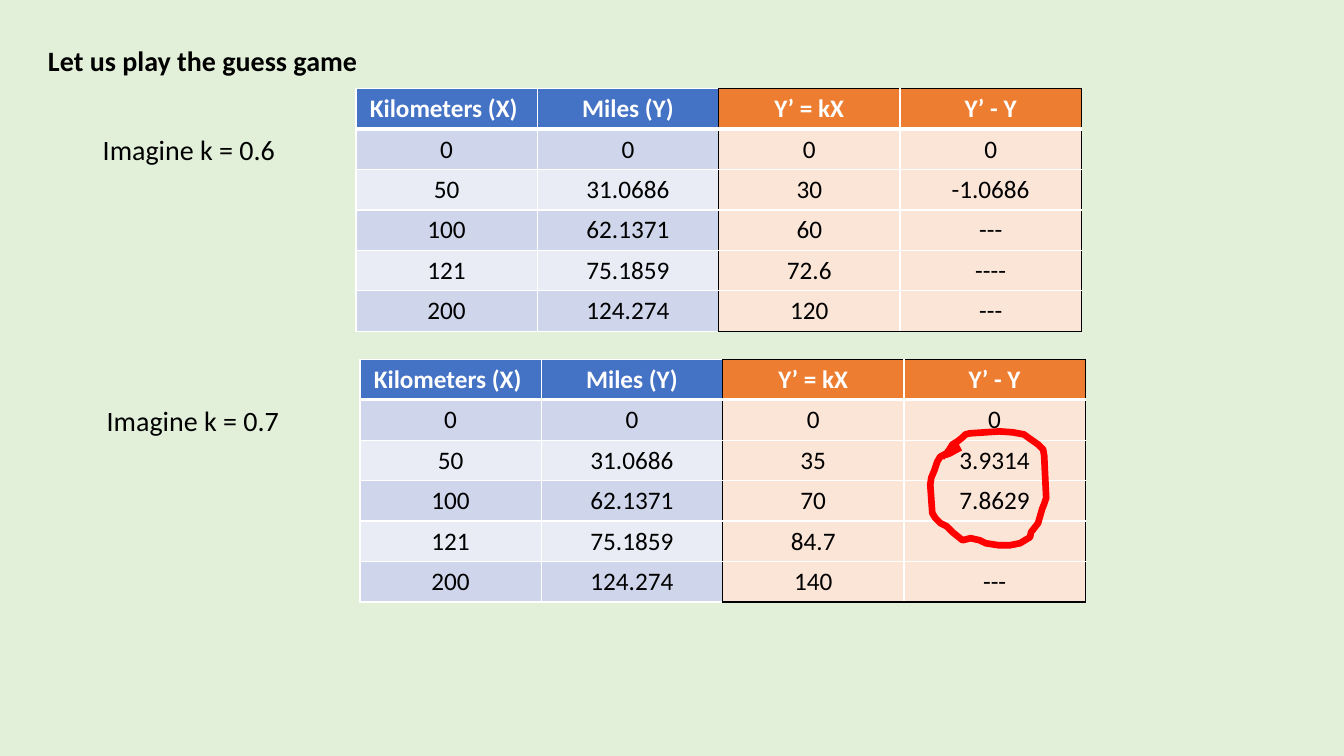
from lxml.etree import SubElement
from pptx import Presentation
from pptx.dml.color import RGBColor
from pptx.enum.text import MSO_AUTO_SIZE, PP_ALIGN
from pptx.oxml.ns import qn
from pptx.util import Cm, Pt

COLORS = {
    "background": "E2F0D9",
    "black": "000000",
    "white": "FFFFFF",
    "data_header": "4472C4",
    "guess_header": "ED7D31",
    "band_dark": "CFD5EA",
    "band_light": "E9EBF5",
    "guess_body": "FBE5D6",
    "marker": "FF0000",
}
CAPTION = {"name": "Calibri", "size": Pt(20), "bold": False}
HEADING = {**CAPTION, "bold": True}
CELL = {**CAPTION, "size": Pt(18)}
CELL_HEADER = {**CELL, "bold": True}

HEADERS = ["Kilometers (X) ", "Miles (Y)", "Y’ = kX", "Y’ - Y"]
KILOMETERS = ["0", "50", "100", "121", "200"]
MILES = ["0", "31.0686", "62.1371", "75.1859", "124.274"]
GUESSES = [
    {"k": "0.6", "left": 8.97, "top": 2.23,
     "predicted": ["0", "30", "60", "72.6", "120"],
     "error": ["0", "-1.0686", "---", "----", "---"]},
    {"k": "0.7", "left": 9.07, "top": 9.05,
     "predicted": ["0", "35", "70", "84.7", "140"],
     "error": ["0", "3.9314", "7.8629", "---", "---"]},
]
COLUMN_WIDTH, ROW_HEIGHT = Cm(4.57), Cm(1.02)

# Hand-drawn loop around the errors, in hundredths of an inch
LOOP = [
    (953, 444), (942, 450), (933, 453), (930, 458), (927, 467), (924, 474),
    (923, 481), (924, 495), (925, 509), (928, 514), (933, 519), (939, 522),
    (945, 528), (950, 532), (955, 536), (963, 534), (972, 536), (978, 539),
    (991, 541), (1002, 541), (1012, 539), (1022, 533), (1023, 528),
    (1030, 519), (1034, 505), (1036, 500), (1038, 494), (1037, 473),
    (1036, 452), (1035, 446), (1030, 441), (1020, 434), (1016, 431),
    (1005, 429), (992, 428), (977, 429), (962, 430), (958, 431), (955, 434),
    (950, 438), (945, 441), (942, 446), (939, 450), (935, 452), (934, 455),
]


def write(text_frame, text, font_format, color):
    paragraph = text_frame.paragraphs[0]
    run = paragraph.add_run()
    run.text = text
    for attribute, value in font_format.items():
        setattr(run.font, attribute, value)
    run.font.color.rgb = RGBColor.from_string(COLORS[color])
    return paragraph


def set_border(cell, tag, color, width):
    line = SubElement(cell._tc.get_or_add_tcPr(), qn(f"a:{tag}"), w=str(Pt(width)))
    fill = SubElement(line, qn("a:solidFill"))
    SubElement(fill, qn("a:srgbClr"), val=COLORS[color])


presentation = Presentation()
presentation.slide_width, presentation.slide_height = Cm(33.87), Cm(19.05)
slide = presentation.slides.add_slide(presentation.slide_layouts[6])
slide.background.fill.solid()
slide.background.fill.fore_color.rgb = RGBColor.from_string(COLORS["background"])

captions = [("Let us play the guess game", 0.96, 0.96, 16.38, HEADING)]
for guess in GUESSES:
    captions.append((f"Imagine k = {guess['k']}", guess["left"] - 6.63,
                     guess["top"] + 0.99, 8.03, CAPTION))
for text, left, top, width, font_format in captions:
    caption = slide.shapes.add_textbox(Cm(left), Cm(top), Cm(width), Cm(1.11))
    caption.text_frame.word_wrap = True
    caption.text_frame.auto_size = MSO_AUTO_SIZE.SHAPE_TO_FIT_TEXT
    write(caption.text_frame, text, font_format, "black")

for guess in GUESSES:
    rows = [HEADERS, *zip(KILOMETERS, MILES, guess["predicted"], guess["error"])]
    last_row, last_column = len(rows) - 1, len(HEADERS) - 1
    table = slide.shapes.add_table(
        len(rows), len(HEADERS), Cm(guess["left"]), Cm(guess["top"]),
        COLUMN_WIDTH * len(HEADERS), ROW_HEIGHT * len(rows)).table
    table.horz_banding = False
    for column in table.columns:
        column.width = COLUMN_WIDTH
    for r, values in enumerate(rows):
        table.rows[r].height = ROW_HEIGHT
        for c, value in enumerate(values):
            cell = table.cell(r, c)
            is_header, is_guess = r == 0, c >= 2
            paragraph = write(cell.text_frame, value,
                              CELL_HEADER if is_header else CELL,
                              "white" if is_header else "black")
            paragraph.alignment = PP_ALIGN.CENTER

            # The guess columns share a black frame; all other rules are white
            framed = {
                "lnL": c == 2,
                "lnR": c in (1, last_column),
                "lnT": is_guess and is_header,
                "lnB": is_guess and r == last_row,
            }
            thick = {"lnT": r == 1, "lnB": is_header}
            for side, is_framed in framed.items():
                set_border(cell, side, "black" if is_framed else "white",
                           3 if thick.get(side) else 1)

            if is_guess:
                fill = "guess_header" if is_header else "guess_body"
            elif is_header:
                fill = "data_header"
            else:
                fill = "band_dark" if r % 2 else "band_light"
            cell.fill.solid()
            cell.fill.fore_color.rgb = RGBColor.from_string(COLORS[fill])

outline = slide.shapes.build_freeform(*LOOP[0], scale=Cm(0.0254))
outline.add_line_segments(LOOP[1:], close=False)
loop = outline.convert_to_shape()
loop.shadow.inherit = False
loop.fill.background()
loop.line.color.rgb = RGBColor.from_string(COLORS["marker"])
loop.line.width = Pt(4.75)
SubElement(loop.line._get_or_add_ln(), qn("a:round"))

presentation.save("out.pptx")
